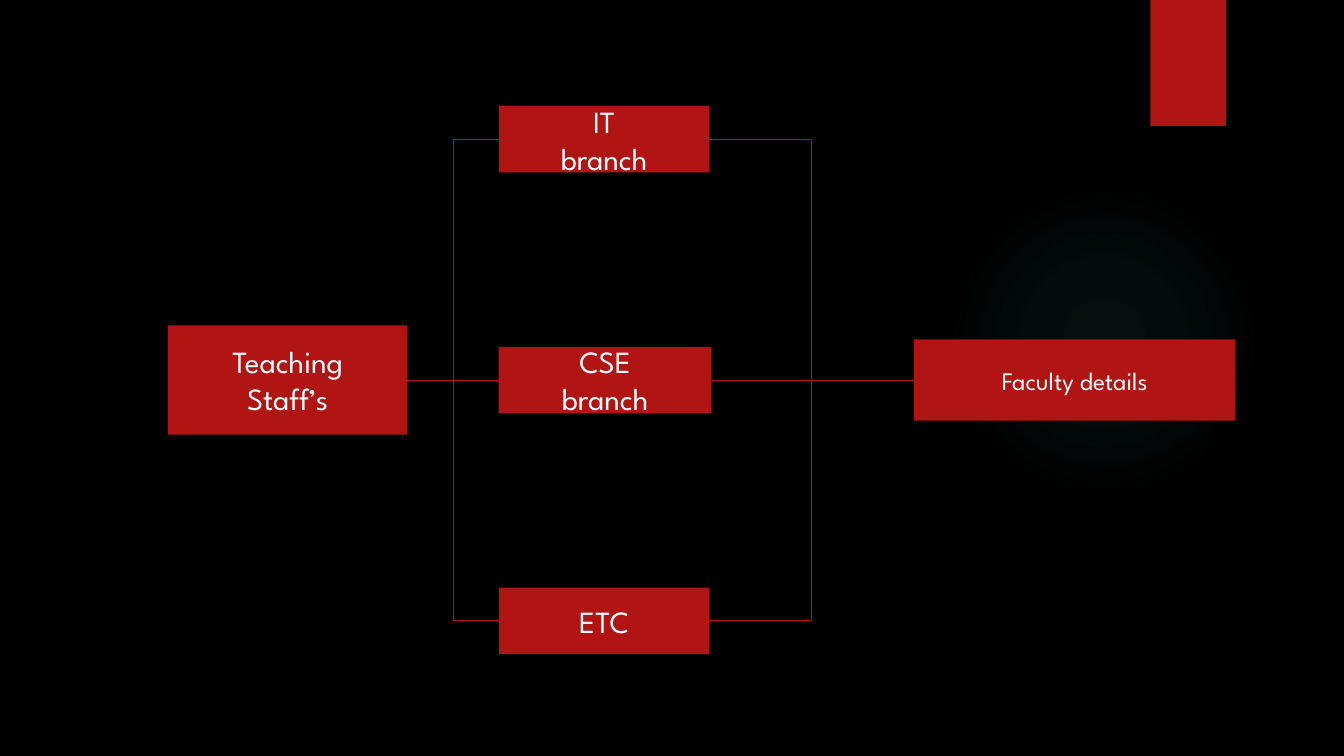
from dataclasses import dataclass

from lxml import etree
from pptx import Presentation
from pptx.dml.color import RGBColor as Color
from pptx.enum.shapes import MSO_CONNECTOR as Connector, MSO_SHAPE as Shape
from pptx.enum.text import MSO_ANCHOR as Anchor, PP_ALIGN as Align
from pptx.oxml import parse_xml
from pptx.oxml.ns import nsdecls, qn
from pptx.util import Pt


@dataclass(frozen=True)
class Theme:
    """Colours, font and sizes of the slide."""
    background: str = "000000"
    red: str = "B01513"
    glow: str = "50B9C1"
    text: str = "FFFFFF"
    font: str = "League Spartan"
    large: float = 22
    small: float = 18
    line: float = 0.75


THEME = Theme()
LEFT_SITE, RIGHT_SITE = 1, 3
MIDDLE = 271.5
BRANCH_PITCH = 172
BRANCHES = [("IT\nbranch", 150.5), ("CSE\nbranch", 152), ("ETC", 150.5)]


def add_plain(page, kind, left, top, width, height):
    """Add a red preset shape without outline or shadow."""
    shape = page.shapes.add_shape(kind, Pt(left), Pt(top), Pt(width), Pt(height))
    shape.shadow.inherit = False
    shape.fill.solid()
    shape.fill.fore_color.rgb = Color.from_string(THEME.red)
    shape.line.fill.background()
    return shape


def add_glow(page, left, top, size):
    """Add a circle whose faint tint fades towards its rim."""
    glow = add_plain(page, Shape.OVAL, left, top, size, size)
    stops = "".join(
        f'<a:gs pos="{place * 1000}"><a:srgbClr val="{THEME.glow}">'
        f'<a:alpha val="{alpha * 1000}"/></a:srgbClr></a:gs>'
        for place, alpha in [(0, 7), (36, 6), (69, 0)]
    )
    gradient = parse_xml(
        f'<a:gradFill {nsdecls("a")}><a:gsLst>{stops}</a:gsLst><a:path path="circle">'
        '<a:fillToRect l="50000" t="50000" r="50000" b="50000"/></a:path></a:gradFill>'
    )
    properties = glow._element.spPr
    properties.replace(properties.find(qn("a:solidFill")), gradient)


def add_box(page, text, left, middle, width, height, size):
    """Add a labelled box centred on a height of the slide."""
    box = add_plain(page, Shape.RECTANGLE, left, middle - height / 2, width, height)
    frame = box.text_frame
    frame.text = text
    frame.word_wrap = True
    frame.vertical_anchor = Anchor.MIDDLE
    for para in frame.paragraphs:
        para.alignment = Align.CENTER
        for span in para.runs:
            span.font.name = THEME.font
            span.font.size = Pt(size)
            span.font.color.rgb = Color.from_string(THEME.text)
    return box


def link(page, source, target, kind):
    """Join the right side of one box to the left side of another."""
    line = page.shapes.add_connector(kind, 0, 0, 0, 0)
    line.begin_connect(source, RIGHT_SITE)
    line.end_connect(target, LEFT_SITE)
    line.line.color.rgb = Color.from_string(THEME.red)
    line.line.width = Pt(THEME.line)
    etree.SubElement(line._element.spPr, qn("a:effectLst"))


def main():
    """Build the staff diagram and save it."""
    deck = Presentation()
    deck.slide_width, deck.slide_height = Pt(960), Pt(540)
    page = deck.slides.add_slide(deck.slide_layouts[6])
    page.background.fill.solid()
    page.background.fill.fore_color.rgb = Color.from_string(THEME.background)

    add_glow(page, 677.5, 132, 222)
    add_plain(page, Shape.RECTANGLE, 821.75, 0, 54, 90)
    staff = add_box(page, "Teaching\nStaff’s", 120, MIDDLE, 171, 78, THEME.large)
    faculty = add_box(page, "Faculty details", 653, MIDDLE, 229.5, 58, THEME.small)
    for row, (label, width) in enumerate(BRANCHES, start=-1):
        middle = MIDDLE + row * BRANCH_PITCH
        branch = add_box(page, label, 356.25, middle, width, 47.5, THEME.large)
        kind = Connector.ELBOW if row else Connector.STRAIGHT
        link(page, staff, branch, kind)
        link(page, branch, faculty, kind)

    deck.save("out.pptx")


main()
